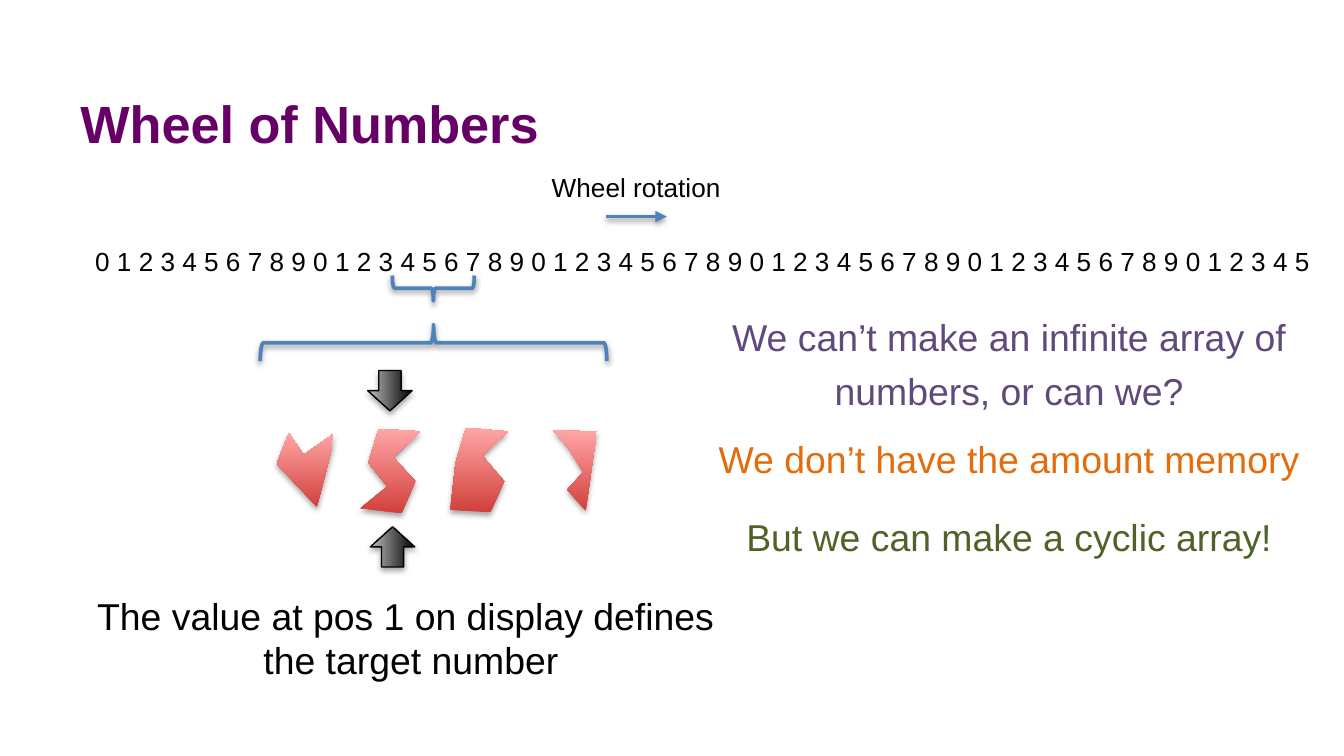
import pptx
import pptx.dml.color
import pptx.enum.shapes
import pptx.enum.text
import pptx.oxml.ns
import pptx.util
from lxml import etree

Cm = pptx.util.Cm
Pt = pptx.util.Pt
qn = pptx.oxml.ns.qn
SHAPE = pptx.enum.shapes.MSO_SHAPE
ALIGN = pptx.enum.text.PP_ALIGN
ANCHOR = pptx.enum.text.MSO_ANCHOR


def color(hex_code):
    return pptx.dml.color.RGBColor.from_string(hex_code)


def write_text(frame, text, size=20, fill="000000", bold=False,
               align=ALIGN.CENTER, spacing=1.0):
    paragraph = frame.paragraphs[0]
    paragraph.text = text
    paragraph.alignment = align
    paragraph.line_spacing = spacing
    for run in paragraph.runs:
        run.font.name = SlideBuilder.FONT
        run.font.size = Pt(size)
        run.font.bold = bold
        run.font.color.rgb = color(fill)


def add_shadow(shape, alpha, blur, distance):
    """Give the shape a soft black shadow that falls straight down."""
    properties = shape._element.spPr
    effects = properties.find(qn("a:effectLst"))
    if effects is None:
        effects = etree.SubElement(properties, qn("a:effectLst"))
    shadow = etree.SubElement(
        effects, qn("a:outerShdw"), blurRad=str(Pt(blur)),
        dist=str(Pt(distance)), dir="5400000", rotWithShape="0")
    black = etree.SubElement(shadow, qn("a:srgbClr"), val="000000")
    etree.SubElement(black, qn("a:alpha"), val=str(alpha * 1000))


class SlideBuilder:
    FONT = "Arial"
    ACCENT = "4F81BD"
    ARROW_GRADIENT = ("000000", "BDBDBD")
    SHARD_GRADIENT = ("D1403C", "FFA6A5")
    LINE_SHADOW = (38, 3.1, 1.6)
    SOLID_SHADOW = (35, 3.1, 1.8)

    def __init__(self, slide):
        self.slide = slide

    def text(self, left, top, width, height, text, anchor=ANCHOR.TOP, **style):
        box = self.slide.shapes.add_textbox(Cm(left), Cm(top), Cm(width), Cm(height))
        box.text_frame.word_wrap = True
        box.text_frame.vertical_anchor = anchor
        write_text(box.text_frame, text, **style)

    def fill_gradient(self, shape, bottom_to_top):
        shape.fill.gradient()
        shape.fill.gradient_angle = 90
        for stop, position, code in zip(shape.fill.gradient_stops, (0, 1), bottom_to_top):
            stop.position = position
            stop.color.rgb = color(code)

    def turned_shape(self, kind, left, top, width, height, rotation, flip):
        shape = self.slide.shapes.add_shape(kind, Cm(left), Cm(top), Cm(width), Cm(height))
        shape.rotation = rotation
        if flip:
            shape._element.spPr.xfrm.set(flip, "1")
        shape.shadow.inherit = False
        return shape

    def brace(self, left, top, width, height, flip=None):
        brace = self.turned_shape(SHAPE.RIGHT_BRACE, left, top, width, height, 90, flip)
        brace.fill.background()
        brace.line.color.rgb = color(self.ACCENT)
        brace.line.width = Pt(2)
        add_shadow(brace, *self.LINE_SHADOW)

    def block_arrow(self, left, top, rotation, flip=None):
        arrow = self.turned_shape(SHAPE.RIGHT_ARROW, left, top, 0.76, 0.84, rotation, flip)
        self.fill_gradient(arrow, self.ARROW_GRADIENT)
        arrow.line.color.rgb = color("000000")
        arrow.line.width = Pt(0.75)
        add_shadow(arrow, *self.SOLID_SHADOW)

    def line_arrow(self, start_x, end_x, y):
        arrow = self.slide.shapes.add_connector(
            pptx.enum.shapes.MSO_CONNECTOR.STRAIGHT, Cm(start_x), Cm(y), Cm(end_x), Cm(y))
        arrow.line.color.rgb = color(self.ACCENT)
        arrow.line.width = Pt(2)
        line = arrow._element.spPr.find(qn("a:ln"))
        etree.SubElement(line, qn("a:tailEnd"), type="triangle")
        add_shadow(arrow, *self.LINE_SHADOW)

    def shard(self, points):
        start, *rest = [(Cm(x), Cm(y)) for x, y in points]
        builder = self.slide.shapes.build_freeform(*start)
        builder.add_line_segments(rest, close=True)
        shard = builder.convert_to_shape()
        shard.shadow.inherit = False
        self.fill_gradient(shard, self.SHARD_GRADIENT)
        shard.line.fill.background()
        add_shadow(shard, *self.SOLID_SHADOW)


SHARDS = [
    [(5.46, 8.18), (5.74, 8.59), (6.3, 8.2), (6.27, 8.48), (5.99, 9.58), (5.23, 8.76)],
    [(6.96, 8.74), (7.16, 8.1), (7.95, 8.15), (7.44, 8.64), (7.85, 9.09),
     (7.59, 9.7), (6.81, 9.6), (7.32, 9.19)],
    [(8.61, 8.74), (8.81, 8.08), (9.6, 8.15), (9.12, 8.61), (9.53, 9.09),
     (9.27, 9.68), (8.51, 9.63)],
    [(10.72, 9.25), (11.02, 8.92), (10.74, 8.46), (10.46, 8.13), (11.28, 8.15),
     (11.07, 9.65)],
]

REMARKS = [
    (5.64, 2.18, "We can’t make an infinite array of numbers, or can we?", "604A7B"),
    (7.95, 1.22, "We don’t have the amount memory", "E46C0A"),
    (9.42, 1.22, "But we can make a cyclic array!", "4F6228"),
]


def main():
    presentation = pptx.Presentation()
    presentation.slide_width = Cm(25.4)
    presentation.slide_height = Cm(14.28)
    builder = SlideBuilder(presentation.slides.add_slide(presentation.slide_layouts[6]))

    builder.text(1.27, 1.12, 22.86, 2.39, "Wheel of Numbers", anchor=ANCHOR.MIDDLE,
                 size=28, fill="660066", bold=True, align=ALIGN.LEFT)

    builder.text(9.09, 3.05, 5.87, 0.86, "Wheel rotation", size=14, spacing=1.1)
    builder.line_arrow(11.46, 12.6, 4.09)
    wheel = " ".join(str(position % 10) for position in range(56))
    builder.text(1.55, 4.45, 23.6, 0.64, wheel, size=14, align=ALIGN.LEFT, spacing=1.1)

    builder.brace(7.95, 4.67, 0.48, 1.55)
    builder.brace(7.85, 3.2, 0.69, 6.55, flip="flipH")
    for points in SHARDS:
        builder.shard(points)
    builder.block_arrow(6.99, 6.96, 90, flip="flipV")
    builder.block_arrow(7.04, 9.91, 270)
    builder.text(1.47, 11.07, 12.6, 2.11,
                 "The value at pos 1 on display defines \nthe target number")

    for top, height, remark, fill in REMARKS:
        builder.text(13.31, top, 11.53, height, remark, fill=fill, spacing=1.2)

    presentation.save("out.pptx")


if __name__ == "__main__":
    main()
